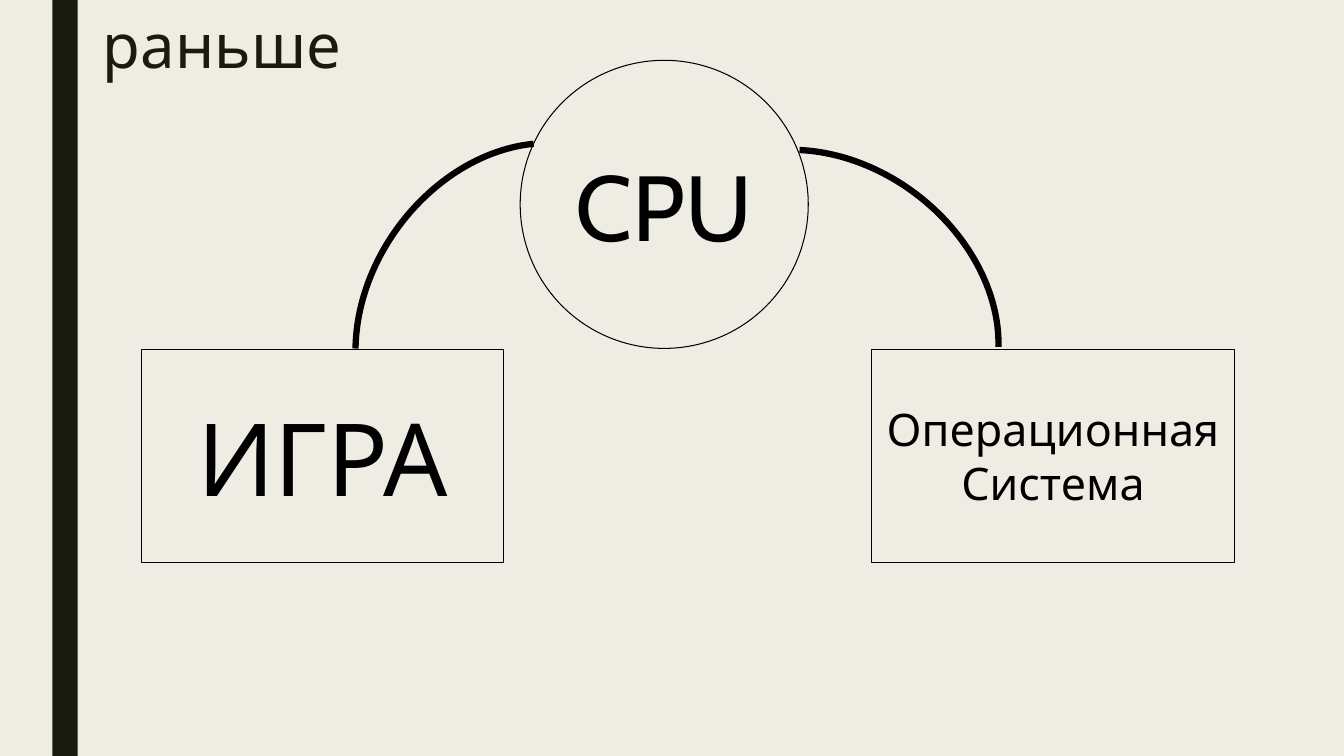
from pptx import Presentation
from pptx.dml.color import RGBColor
from pptx.enum.shapes import MSO_SHAPE
from pptx.enum.text import MSO_ANCHOR, MSO_AUTO_SIZE, PP_ALIGN
from pptx.util import Cm, Pt

FONT = "Cabin"
PAPER = "EFEDE3"
DARK = "191B0E"
BLACK = "000000"
SLIDE_WIDTH, SLIDE_HEIGHT = 33.87, 19.05
BOX_WIDTH, BOX_HEIGHT = 9.14, 5.36
ARC_START = 132.94


def paint(color_format, color):
    color_format.rgb = RGBColor.from_string(color)


def write(shape, text, size, color, alignment, anchor):
    frame = shape.text_frame
    frame.word_wrap = True
    frame.auto_size = MSO_AUTO_SIZE.NONE
    frame.vertical_anchor = anchor
    frame.text = text
    paragraph = frame.paragraphs[0]
    paragraph.alignment = alignment
    font = paragraph.runs[0].font
    font.name = FONT
    font.size = Pt(size)
    paint(font.color, color)


def add_outline(slide, kind, box, line_width):
    shape = slide.shapes.add_shape(kind, *map(Cm, box))
    shape.shadow.inherit = False
    shape.fill.background()
    paint(shape.line.color, BLACK)
    shape.line.width = Pt(line_width)
    return shape


def add_background(slide, box):
    fill = slide.background.fill
    fill.solid()
    paint(fill.fore_color, PAPER)
    left, top, width, height = box
    bar = slide.shapes.add_shape(
        MSO_SHAPE.RECTANGLE, Cm(left + 1.32), Cm(top), Cm(0.64), Cm(height)
    )
    bar.shadow.inherit = False
    bar.fill.solid()
    paint(bar.fill.fore_color, DARK)
    bar.line.fill.background()


def add_title(slide, box):
    title = slide.shapes.title
    title.left, title.top, title.width, title.height = map(Cm, box)
    write(title, "раньше", 44, DARK, PP_ALIGN.LEFT, MSO_ANCHOR.TOP)
    title.text_frame.paragraphs[0].line_spacing = 0.89


def add_node(slide, kind, box, text, size):
    node = add_outline(slide, kind, box, 0.75)
    write(node, text, size, BLACK, PP_ALIGN.CENTER, MSO_ANCHOR.MIDDLE)


def add_arc(slide, box, rotation, arc_end):
    arc = add_outline(slide, MSO_SHAPE.ARC, box, 4.5)
    arc.adjustments[0] = ARC_START
    arc.adjustments[1] = arc_end
    arc.rotation = rotation


def add_diagram(slide, box):
    left, top, width, height = box
    node_top = top + height - BOX_HEIGHT
    right_box = left + width - BOX_WIDTH
    add_node(slide, MSO_SHAPE.OVAL, (left + 9.55, top, 7.26, 7.26), "CPU", 66)
    for node_left, text, size in (
        (left, "ИГРА", 72),
        (right_box, "Операционная Система", 32),
    ):
        node_box = (node_left, node_top, BOX_WIDTH, BOX_HEIGHT)
        add_node(slide, MSO_SHAPE.RECTANGLE, node_box, text, size)
    for arc_left, arc_top, rotation, arc_end in (
        (left + 4.77, top + 2.77, 305.4, 199.17),
        (left + 12.8, top + 2.65, 37.3, 201.56),
    ):
        add_arc(slide, (arc_left, arc_top, BOX_WIDTH, 7.16), rotation, arc_end)


def main():
    presentation = Presentation()
    presentation.slide_width = Cm(SLIDE_WIDTH)
    presentation.slide_height = Cm(SLIDE_HEIGHT)
    slide = presentation.slides.add_slide(presentation.slide_layouts[5])
    add_background(slide, (0, 0, SLIDE_WIDTH, SLIDE_HEIGHT))
    add_title(slide, (2.34, 0.28, 26.67, 4.11))
    add_diagram(slide, (3.56, 1.52, 27.55, 12.65))
    presentation.save("out.pptx")


if __name__ == "__main__":
    main()
